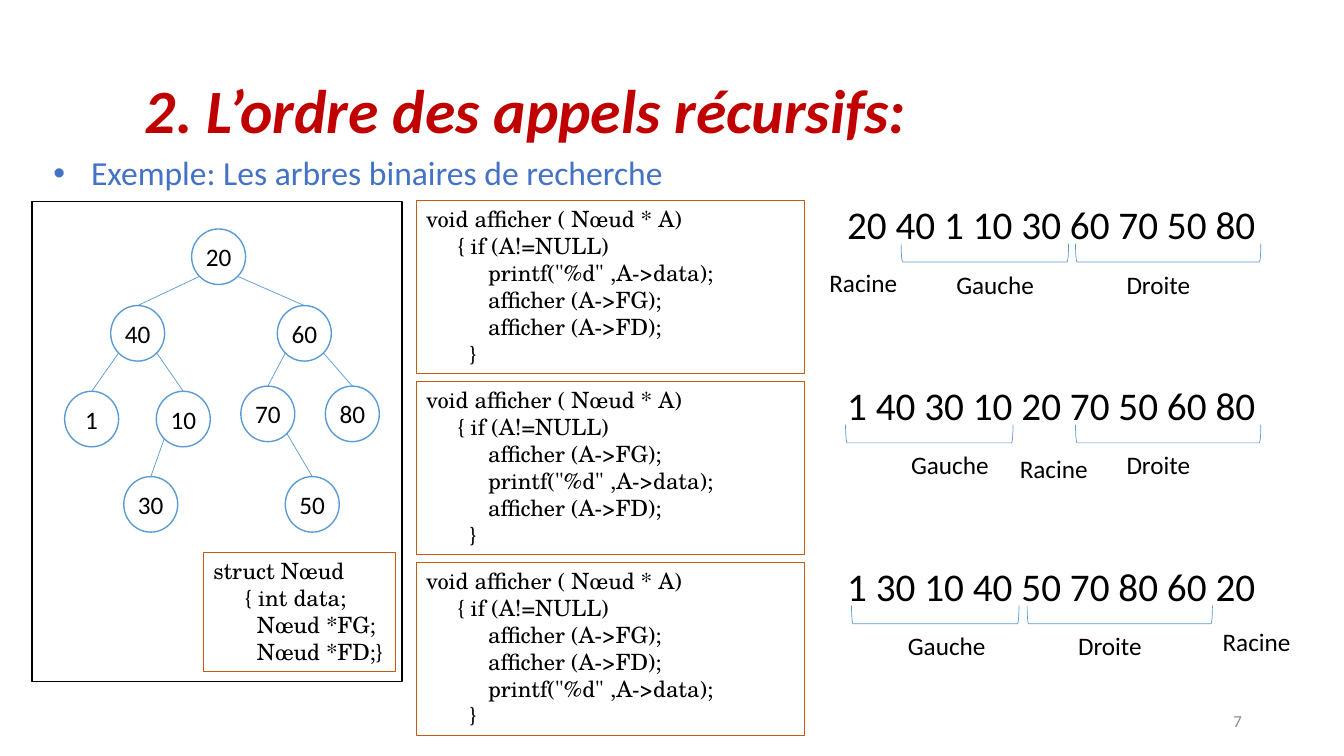
"""Slide on the order of recursive calls in binary search tree traversals."""
from dataclasses import dataclass
from math import sqrt
from typing import Optional

from lxml.etree import SubElement
from pptx import Presentation
from pptx.dml.color import RGBColor
from pptx.enum.shapes import MSO_CONNECTOR, MSO_SHAPE
from pptx.enum.text import MSO_ANCHOR, MSO_AUTO_SIZE, PP_ALIGN
from pptx.oxml.ns import qn
from pptx.util import Cm, Pt

SANS, CODE = "Calibri", "TeX Gyre Schola"
BLACK, WHITE, BLUE, ORANGE = "000000", "FFFFFF", "5B9BD5", "C55A11"
NODE_W, NODE_H = 1.36, 1.4
ROW_TOP, ROW_STEP = 5.05, 4.56
SHOW = 'printf("%d" ,A->data);'
GO_LEFT, GO_RIGHT = "afficher (A->FG);", "afficher (A->FD);"


@dataclass
class Node:
    value: str
    x: float
    y: float
    parent: Optional[str] = None
    side: int = 0


@dataclass
class Traversal:
    calls: list[str]
    sequence: str
    left_mid: float
    right_mid: float
    left_label: float
    root_label: float
    root_drop: float


NODES = [
    Node("20", 4.83, 5.77),
    Node("40", 2.79, 7.7, "20", -1),
    Node("60", 6.99, 7.7, "20", 1),
    Node("1", 1.63, 9.86, "40", -1),
    Node("10", 3.94, 9.86, "40", 1),
    Node("30", 3.12, 12.01, "10", -1),
    Node("70", 6.07, 9.73, "60", -1),
    Node("80", 8.2, 9.73, "60", 1),
    Node("50", 7.19, 12.01, "70", 1),
]

TRAVERSALS = [
    Traversal([SHOW, GO_LEFT, GO_RIGHT], "20 40 1 10 30 60 70 50 80",
              24.82, 29.44, 23.85, 20.65, 1.55),
    Traversal([GO_LEFT, SHOW, GO_RIGHT], "1 40 30 10 20 70 50 60 80",
              23.42, 29.44, 22.71, 25.45, 1.69),
    Traversal([GO_LEFT, GO_RIGHT, SHOW], "1 30 10 40 50 70 80 60 20",
              23.57, 28.22, 22.63, 30.56, 1.48),
]


def color(value: str) -> RGBColor:
    """Turn a hex string into a colour."""
    return RGBColor.from_string(value)


def place(sp, x: float, y: float, w: float, h: float) -> None:
    """Move and size a shape, in centimetres."""
    sp.left, sp.top, sp.width, sp.height = Cm(x), Cm(y), Cm(w), Cm(h)


def write(sp, lines: list[str], size: float, font: str = SANS, ink: str = BLACK,
          align=PP_ALIGN.LEFT, anchor=MSO_ANCHOR.TOP, spacing: float = 1.0,
          bold: bool = False, italic: bool = False):
    """Fill a shape with one formatted run per line."""
    tf = sp.text_frame
    tf.word_wrap = True
    tf.auto_size = MSO_AUTO_SIZE.NONE
    tf.vertical_anchor = anchor
    for i, line in enumerate(lines):
        p = tf.add_paragraph() if i else tf.paragraphs[0]
        p.alignment, p.line_spacing = align, spacing
        p.space_before = Pt(0)
        r = p.add_run()
        r.text = line
        r.font.name, r.font.size = font, Pt(size)
        r.font.bold, r.font.italic = bold, italic
        r.font.color.rgb = color(ink)
    return tf


def add_text(s, x: float, y: float, w: float, h: float, text: str, size: float, **style):
    """Add a one-line text box."""
    return write(s.shapes.add_textbox(Cm(x), Cm(y), Cm(w), Cm(h)), [text], size, **style)


def add_outline(s, kind, x: float, y: float, w: float, h: float,
                line: str, weight: float, fill: Optional[str] = None):
    """Add a flat preset shape."""
    sp = s.shapes.add_shape(kind, Cm(x), Cm(y), Cm(w), Cm(h))
    sp.shadow.inherit = False
    sp.line.color.rgb, sp.line.width = color(line), Pt(weight)
    if fill:
        sp.fill.solid()
        sp.fill.fore_color.rgb = color(fill)
    else:
        sp.fill.background()
    return sp


def add_code(s, x: float, y: float, w: float, h: float, lines: list[str]) -> None:
    """Add a framed code listing."""
    sp = add_outline(s, MSO_SHAPE.RECTANGLE, x, y, w, h, ORANGE, 0.75)
    write(sp, lines, 16, CODE)


def add_bracket(s, mid: float, y: float, span: float) -> None:
    """Add a bracket opening upwards, centred on a point."""
    depth = 0.46
    sp = add_outline(s, MSO_SHAPE.LEFT_BRACKET, mid - depth / 2, y - span / 2,
                     depth, span, BLUE, 0.5)
    sp.rotation = 270


def add_tree(s, nodes: list[Node]) -> None:
    """Draw the nodes and join each to its parent."""
    ovals = {}
    for n in nodes:
        sp = add_outline(s, MSO_SHAPE.OVAL, n.x, n.y, NODE_W, NODE_H, BLUE, 1, WHITE)
        tf = write(sp, [n.value], 18, align=PP_ALIGN.CENTER, anchor=MSO_ANCHOR.MIDDLE)
        tf.margin_left = tf.margin_right = Cm(0.1)
        ovals[n.value] = sp
    by_value = {n.value: n for n in nodes}
    for n in nodes:
        if n.parent is None:
            continue
        top = by_value[n.parent]
        x = top.x + NODE_W / 2 * (1 + n.side / sqrt(2))
        y = top.y + NODE_H / 2 * (1 + 1 / sqrt(2))
        c = s.shapes.add_connector(MSO_CONNECTOR.STRAIGHT, Cm(x), Cm(y),
                                   Cm(n.x + NODE_W / 2), Cm(n.y))
        c.end_connect(ovals[n.value], 0)
        c.line.color.rgb, c.line.width = color(BLUE), Pt(0.5)
        SubElement(c._element.spPr, qn("a:effectLst"))


def add_traversal(s, t: Traversal, y: float) -> None:
    """Draw one row: code, visiting order and its parts."""
    code = ["void afficher ( Nœud * A)", "     { if (A!=NULL)"]
    code += ["          " + call for call in t.calls] + ["       }"]
    add_code(s, 10.49, y, 9.78, 4.37, code)
    tf = add_text(s, 20.65, y, 12.83, 1.5, t.sequence, 28, spacing=0.9)
    tf.margin_left = Cm(0.7)
    add_bracket(s, t.left_mid, y + 1.32, 4.22)
    add_bracket(s, t.right_mid, y + 1.32, 4.67)
    for text, x, drop in (("Gauche", t.left_label, 1.6),
                          ("Droite", t.right_mid - 1.3, 1.6),
                          ("Racine", t.root_label, t.root_drop)):
        add_text(s, x, y + drop, 2.67, 1.02, text, 18)


def main() -> None:
    """Build and save the slide."""
    prs = Presentation()
    prs.slide_width, prs.slide_height = Cm(33.87), Cm(19.05)
    s = prs.slides.add_slide(prs.slide_layouts[1])

    title, body = s.shapes.title, s.placeholders[1]
    place(title, 3.4, 1.02, 27.86, 3.68)
    write(title, ["2. L’ordre des appels récursifs:"], 44, ink="C00000",
          anchor=MSO_ANCHOR.MIDDLE, spacing=0.9, bold=True, italic=True)

    place(body, 1.09, 3.71, 16.94, 1.27)
    tf = write(body, ["Exemple: Les arbres binaires de recherche"], 24, ink="4472C4")
    pPr = tf.paragraphs[0]._p.get_or_add_pPr()
    pPr.set("marL", str(Cm(0.95)))
    pPr.set("indent", str(-Cm(0.95)))
    SubElement(pPr, qn("a:buFont")).set("typeface", "Arial")
    SubElement(pPr, qn("a:buChar")).set("char", "•")

    add_outline(s, MSO_SHAPE.RECTANGLE, 0.81, 5.08, 9.32, 12.09, BLACK, 1, WHITE)
    add_tree(s, NODES)
    add_code(s, 5.13, 13.92, 4.85, 3, ["struct Nœud", "     { int data;",
                                       "       Nœud *FG;", "       Nœud *FD;}"])
    for i, t in enumerate(TRAVERSALS):
        add_traversal(s, t, ROW_TOP + i * ROW_STEP)
    add_text(s, 23.93, 17.65, 7.62, 1.02, "7", 12, ink="8C8C8C",
             align=PP_ALIGN.RIGHT, anchor=MSO_ANCHOR.MIDDLE)
    prs.save("out.pptx")


if __name__ == "__main__":
    main()
